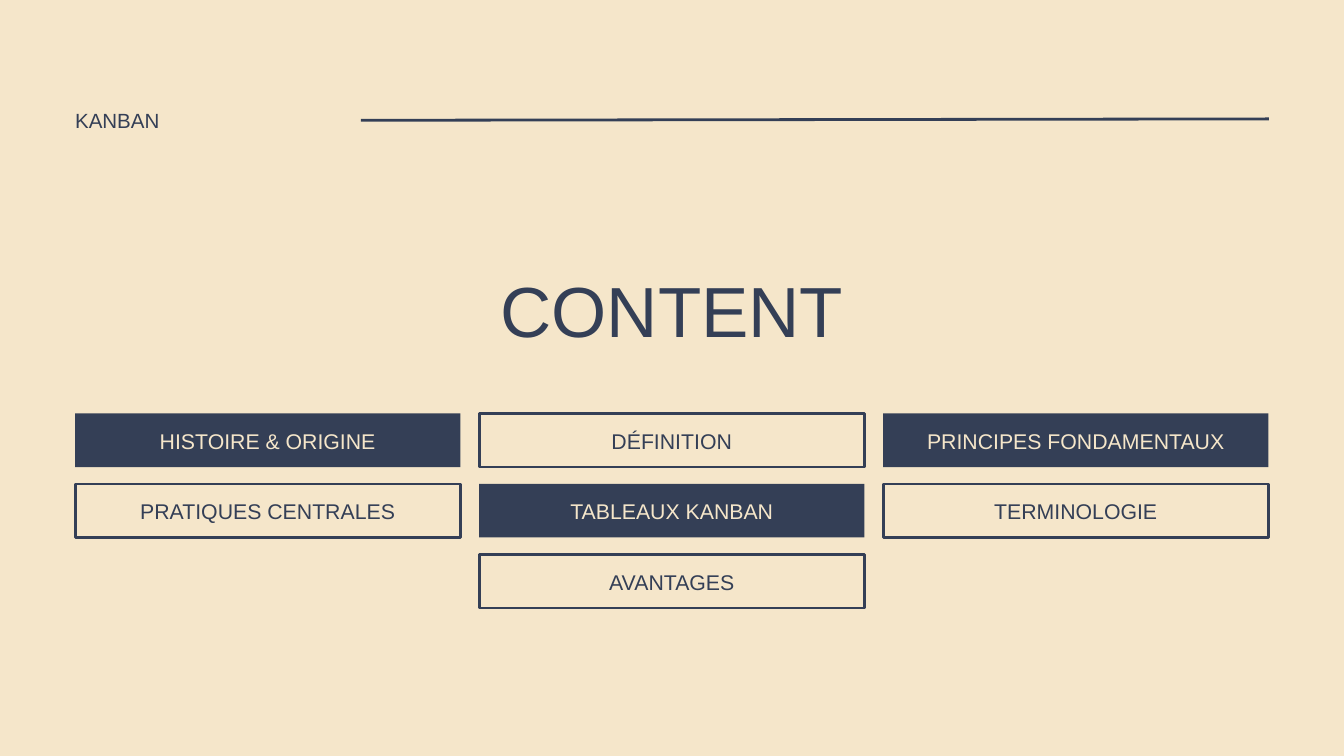
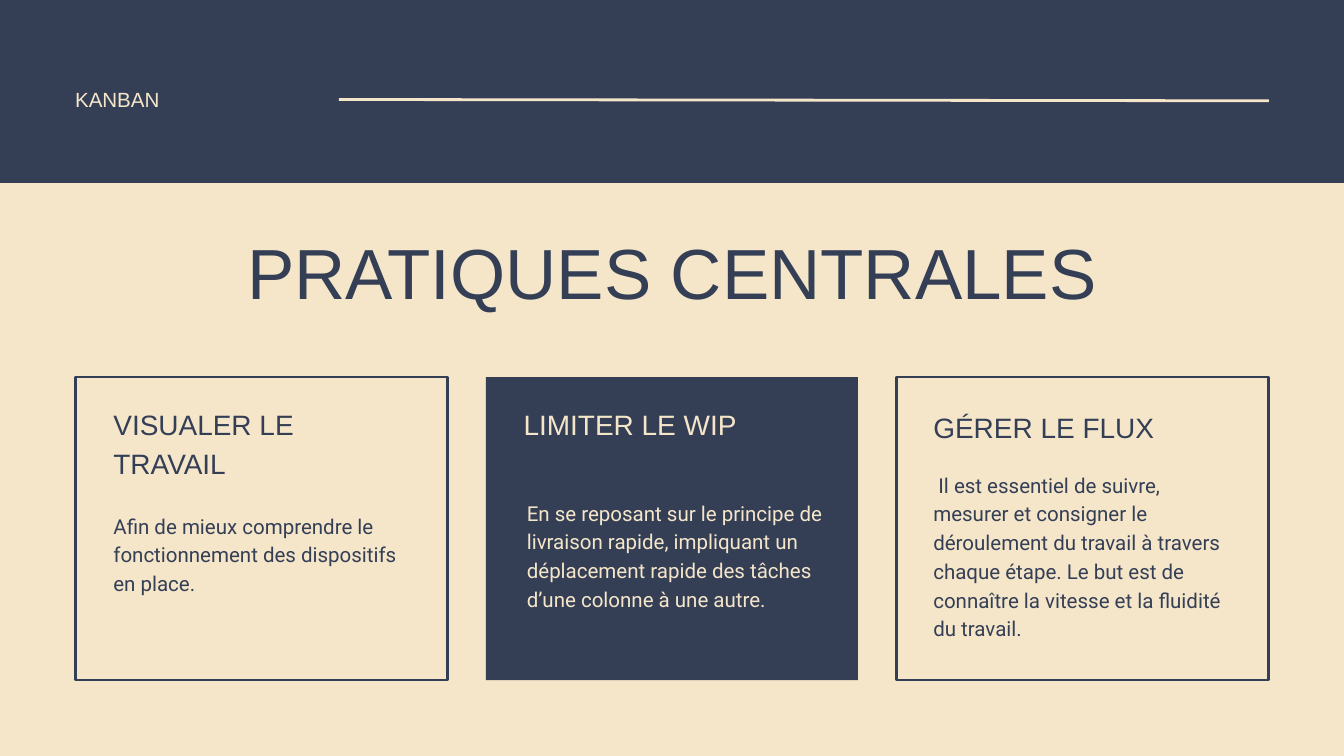
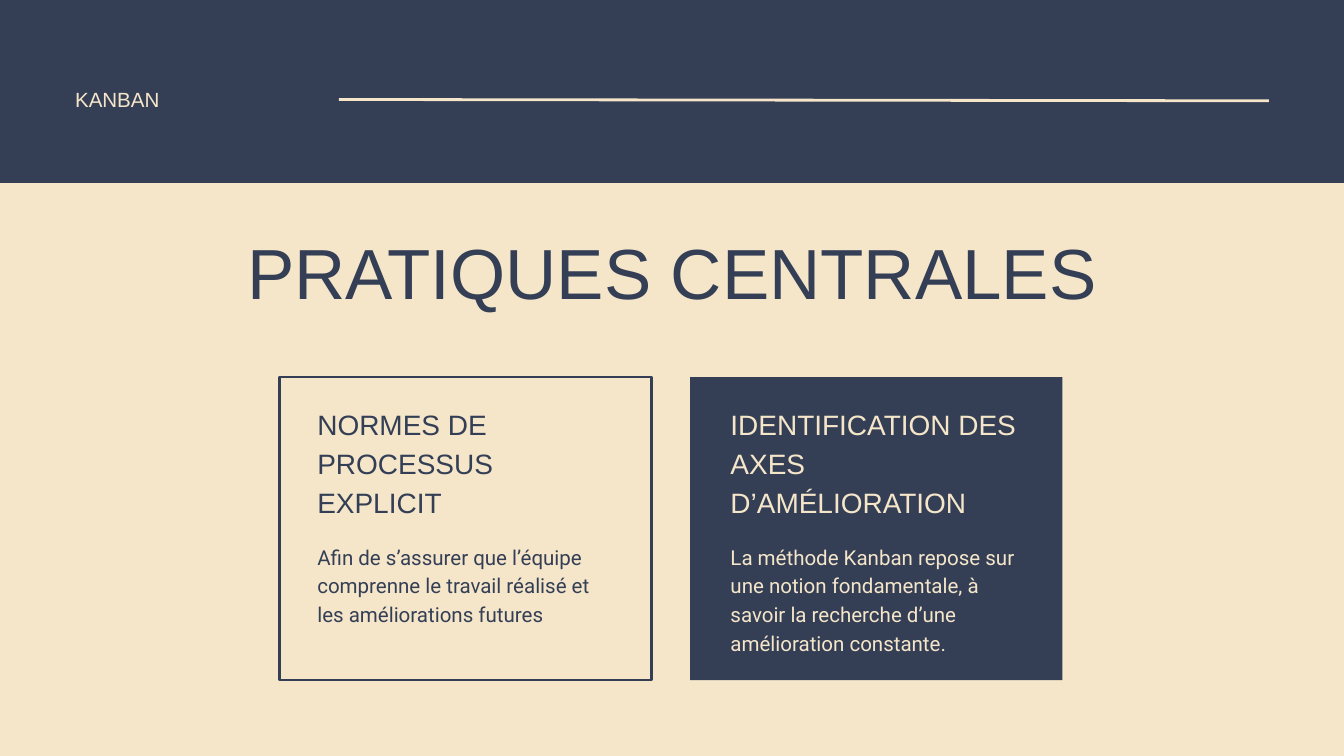
import lxml.etree
import pptx
import pptx.dml.color
import pptx.enum.shapes
import pptx.enum.text
import pptx.oxml.ns
import pptx.util

Pt = pptx.util.Pt
ALIGN = pptx.enum.text.PP_ALIGN
ANCHOR = pptx.enum.text.MSO_ANCHOR
RECT = pptx.enum.shapes.MSO_SHAPE.RECTANGLE
STRAIGHT = pptx.enum.shapes.MSO_CONNECTOR.STRAIGHT

WIDE, HIGH = 1440, 810
EDGE = 80.5
COLORS = {"navy": "343F56", "cream": "F5E6CA"}
# Text styles: font, size, line spacing
STYLES = {
    "title": ("Arial", 76, 106.4),
    "head": ("Arial", 30, 42),
    "label": ("Arial", 22.8, 32),
    "tag": ("Arial", 22, 30.8),
    "body": ("Roboto", 22, 30.8),
}

TOPICS = [
    "HISTOIRE & ORIGINE", "DÉFINITION", "PRINCIPES FONDAMENTAUX",
    "PRATIQUES CENTRALES", "TABLEAUX KANBAN", "TERMINOLOGIE",
    "AVANTAGES",
]
# Each card: heading and body, both as (text, left, top, width, height) in the card
FLOW = [
    (("VISUALER LE TRAVAIL", 41, 26.6, 253.5, 88),
     ("Afin de mieux comprendre le fonctionnement des dispositifs en place.",
      41, 142, 322.5, 91.5)),
    (("LIMITER LE WIP", 40.5, 26.6, 253.5, 88),
     ("En se reposant sur le principe de livraison rapide, impliquant un "
      "déplacement rapide des tâches d’une colonne à une autre.",
      44, 128, 319.7, 122.5)),
    (("GÉRER LE FLUX", 39.5, 29.5, 300, 44),
     (" Il est essentiel de suivre, mesurer et consigner le déroulement du "
      "travail à travers chaque étape. Le but est de connaître la vitesse et "
      "la fluidité du travail.", 39.5, 98, 319.7, 183.5)),
]
GROWTH = [
    (("NORMES DE PROCESSUS EXPLICIT", 40.5, 26.6, 253.5, 132.5),
     ("Afin de s’assurer que l’équipe comprenne le travail réalisé et les "
      "améliorations futures", 40.5, 175, 322.5, 91.5)),
    (("IDENTIFICATION DES AXES D’AMÉLIORATION", 43.2, 26.6, 329, 132.5),
     ("La méthode Kanban repose sur une notion fondamentale, à savoir la "
      "recherche d’une amélioration constante.", 43.2, 175, 319.7, 122.5)),
]


def shade(name):
    return pptx.dml.color.RGBColor.from_string(COLORS[name])


def write(shape, text, style, color, align=ALIGN.LEFT):
    font, size, space = STYLES[style]
    frame = shape.text_frame
    frame.word_wrap = True
    frame.margin_left = frame.margin_right = 0
    frame.margin_top = frame.margin_bottom = 0
    frame.text = text
    para = frame.paragraphs[0]
    para.alignment = align
    para.line_spacing = Pt(space)
    run = para.runs[0].font
    run.name, run.size = font, Pt(size)
    run.color.rgb = shade(color)


def put(slide, box, text, style, color, align=ALIGN.LEFT):
    write(slide.shapes.add_textbox(*map(Pt, box)), text, style, color, align)


def panel(slide, box, solid):
    """Draw a filled or outlined rectangle; return it and its text colour."""
    shape = slide.shapes.add_shape(RECT, *map(Pt, box))
    shape.shadow.inherit = False
    if solid:
        shape.fill.solid()
        shape.fill.fore_color.rgb = shade("navy")
        shape.line.fill.background()
        return shape, "cream"
    shape.fill.background()
    shape.line.color.rgb = shade("navy")
    shape.line.width = Pt(3)
    return shape, "navy"


def header(slide, top, start, rise, fall, color):
    """Place the deck name and the slightly tilted rule beside it."""
    put(slide, (EDGE, top, 260, 31), "KANBAN", "tag", color)
    rule = slide.shapes.add_connector(
        STRAIGHT, Pt(start), Pt(top + rise), Pt(WIDE - EDGE), Pt(top + fall))
    rule.line.color.rgb = shade(color)
    rule.line.width = Pt(3)
    lxml.etree.SubElement(rule._element.spPr, pptx.oxml.ns.qn("a:effectLst"))


def title(slide, top, wide, text):
    box = ((WIDE - wide) / 2, top, wide, 108)
    put(slide, box, text, "title", "navy", ALIGN.CENTER)


def grid(slide, left, top, topics):
    """Three columns of buttons; a lone last one goes in the middle column."""
    wide, high, gap, pitch = 412.7, 57.4, 20.2, 75.5
    for i, topic in enumerate(topics):
        row, col = divmod(i, 3)
        if len(topics) - 3 * row == 1:
            col = 1
        box = (left + col * (wide + gap), top + row * pitch, wide, high)
        shape, color = panel(slide, box, i % 2 == 0 and i < 6
                             if row == 0 else (row, col) == (1, 1))
        write(shape, topic, "label", color, ALIGN.CENTER)
        shape.text_frame.vertical_anchor = ANCHOR.MIDDLE
        shape.text_frame.margin_bottom = Pt(4)


def cards(slide, left, top, items):
    """A row of cards, every second one filled."""
    wide, high, pitch = 398.8, 324.7, 440
    for i, parts in enumerate(items):
        x = left + i * pitch
        _, color = panel(slide, (x, top, wide, high), i % 2 == 1)
        for style, (text, dx, dy, w, h) in zip(("head", "body"), parts):
            put(slide, (x + dx, top + dy, w, h), text, style, color)


def blank(deck):
    slide = deck.slides.add_slide(deck.slide_layouts[6])
    slide.background.fill.solid()
    slide.background.fill.fore_color.rgb = shade("cream")
    return slide


def agenda(deck):
    slide = blank(deck)
    header(slide, 111.6, 386.6, 17.3, 15.8, "navy")
    title(slide, 270, 734.4, "CONTENT")
    grid(slide, EDGE, 443, TOPICS)


def practice(deck, left, items):
    slide = blank(deck)
    panel(slide, (0, 0, WIDE, 196), True)
    header(slide, 88.6, 363, 18, 19.4, "cream")
    title(slide, 229.7, 1167, "PRATIQUES CENTRALES")
    cards(slide, left, 404, items)


def main():
    deck = pptx.Presentation()
    deck.slide_width, deck.slide_height = Pt(WIDE), Pt(HIGH)
    agenda(deck)
    practice(deck, EDGE, FLOW)
    practice(deck, 299.5, GROWTH)
    deck.save("out.pptx")


if __name__ == "__main__":
    main()
